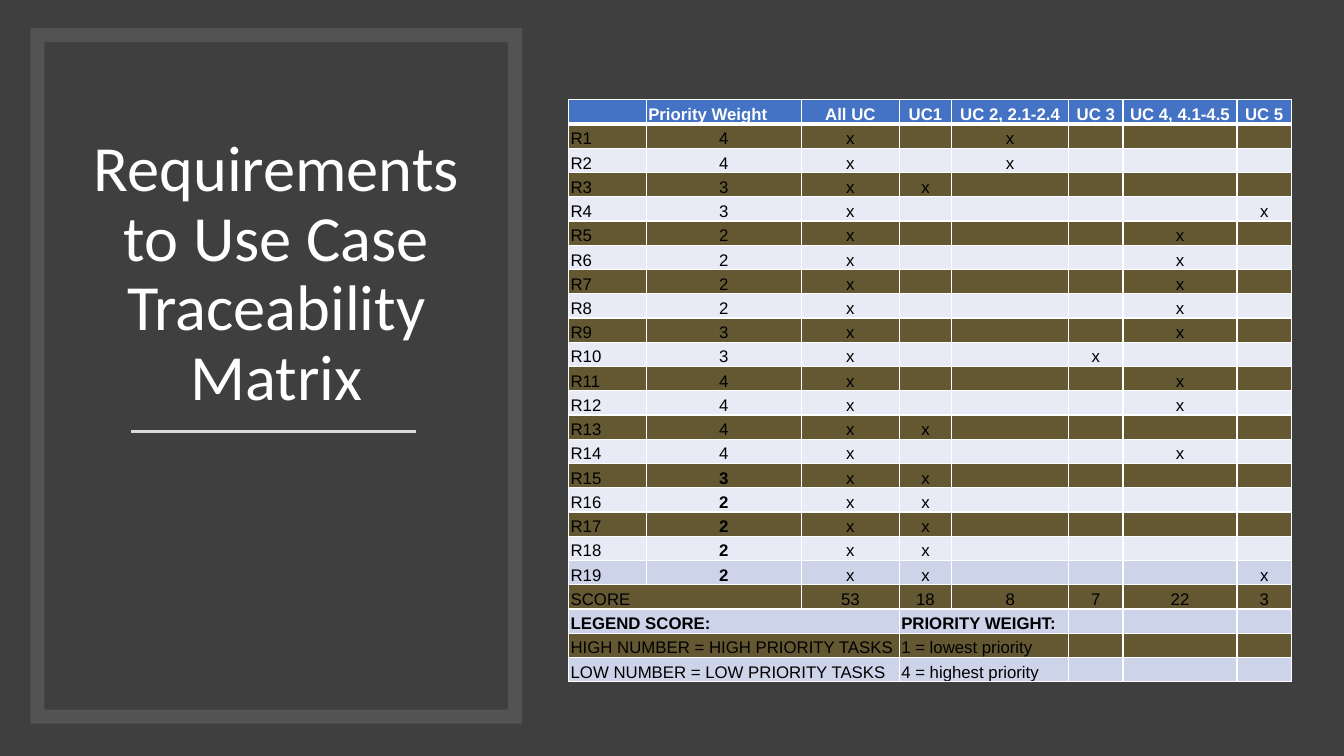
from lxml import etree
from pptx import Presentation
from pptx import util as u
from pptx.dml.color import RGBColor
from pptx.enum import shapes, text
from pptx.oxml import ns

BACKGROUND = "3F3F3F"
WHITE = "FFFFFF"
BLACK = "000000"
GOLD = "F9BD04"
HEADER_BLUE = "4472C4"
PALE_BLUE = "E8EBF5"
MID_BLUE = "CDD4EA"

HEADERS = ["", "Priority Weight", "All UC", "UC1", "UC 2, 2.1-2.4",
           "UC 3", "UC 4, 4.1-4.5", "UC 5"]
COLUMN_WIDTHS = [0.77, 1.54, 0.97, 0.52, 1.16, 0.54, 1.13, 0.54]
TABLE_HEIGHT = 5.78
ALL_UC, UC1, UC2, UC3, UC4, UC5 = range(2, 8)
REQUIREMENTS = [
    (4, [UC2]), (4, [UC2]), (3, [UC1]), (3, [UC5]), (2, [UC4]),
    (2, [UC4]), (2, [UC4]), (2, [UC4]), (3, [UC4]), (3, [UC3]),
    (4, [UC4]), (4, [UC4]), (4, [UC1]), (4, [UC4]), (3, [UC1]),
    (2, [UC1]), (2, [UC1]), (2, [UC1]), (2, [UC1, UC5]),
]
SCORES = ["SCORE", "", "53", "18", "8", "7", "22", "3"]
LEGEND = [
    ("LEGEND SCORE:", "PRIORITY WEIGHT:"),
    ("HIGH NUMBER = HIGH PRIORITY TASKS", "1 = lowest priority"),
    ("LOW NUMBER = LOW PRIORITY TASKS", "4 = highest priority"),
]
FIRST_BOLD_WEIGHT = 15
LAST_REQUIREMENT = len(REQUIREMENTS)
SCORE_ROW = LAST_REQUIREMENT + 1
LEGEND_ROW = SCORE_ROW + 1


def color(hex_value):
    return RGBColor.from_string(hex_value)


def apply_format(target, values):
    for name, value in values.items():
        setattr(target, name, value)


def paint(fill, hex_value, opacity=100):
    fill.solid()
    fill.fore_color.rgb = color(hex_value)
    if opacity < 100:
        solid = fill._xPr.find(ns.qn("a:solidFill"))
        etree.SubElement(solid[0], ns.qn("a:alpha"), val=str(opacity * 1000))


def add_frame(slide):
    frame = slide.shapes.add_shape(
        shapes.MSO_SHAPE.RECTANGLE, u.Inches(0.37), u.Inches(0.35),
        u.Inches(4.74), u.Inches(6.76))
    frame.shadow.inherit = False
    paint(frame.fill, "404040", 89)
    frame.line.width = u.Pt(10)
    paint(frame.line.fill, "595959", 80)
    outline = frame._element.spPr.find(ns.qn("a:ln"))
    etree.SubElement(outline, ns.qn("a:miter"), lim="800000")


def add_title(slide, wording):
    title = slide.shapes.title
    slide.shapes._spTree.append(title._element)
    apply_format(title, {"left": u.Inches(0.74), "top": u.Inches(1),
                         "width": u.Inches(4), "height": u.Inches(3.16)})
    paint(title.fill, BACKGROUND)
    apply_format(title.text_frame, {
        "text": wording, "word_wrap": True,
        "auto_size": text.MSO_AUTO_SIZE.NONE,
        "vertical_anchor": text.MSO_ANCHOR.BOTTOM,
        "margin_left": u.Inches(0.1), "margin_right": u.Inches(0.1),
        "margin_top": u.Inches(0.05), "margin_bottom": u.Inches(0.05)})
    paragraph = title.text_frame.paragraphs[0]
    apply_format(paragraph, {"alignment": text.PP_ALIGN.CENTER,
                             "line_spacing": 0.9})
    font = paragraph.runs[0].font
    apply_format(font, {"name": "Calibri", "size": u.Pt(46)})
    font.color.rgb = color(WHITE)


def add_rule(slide):
    rule = slide.shapes.add_connector(
        shapes.MSO_CONNECTOR.STRAIGHT, u.Inches(1.3), u.Inches(4.28),
        u.Inches(4.13), u.Inches(4.28))
    rule.line.width = u.Pt(1.75)
    rule.line.color.rgb = color("D9D9D9")
    etree.SubElement(rule._element.spPr, ns.qn("a:effectLst"))


def set_borders(cell, widths):
    properties = cell._tc.get_or_add_tcPr()
    for side, width in widths.items():
        border = etree.SubElement(properties, ns.qn("a:ln" + side),
                                  w=str(u.Pt(width)))
        solid = etree.SubElement(border, ns.qn("a:solidFill"))
        etree.SubElement(solid, ns.qn("a:srgbClr"), val=WHITE)


def row_fill(row):
    if row == 0:
        return HEADER_BLUE, 100
    if row < LAST_REQUIREMENT:
        return (GOLD, 20) if row % 2 else (PALE_BLUE, 100)
    return (MID_BLUE, 100) if row % 2 else (GOLD, 20)


def is_bold(row, column):
    return (row in (0, LEGEND_ROW)
            or (column == 1 and FIRST_BOLD_WEIGHT <= row < SCORE_ROW))


def is_left_aligned(row, column):
    return column == 0 or row >= LEGEND_ROW or (row, column) == (0, 1)


def format_cell(cell, wording, row, column):
    set_borders(cell, {"L": 1, "R": 1, "T": 3 if row == 1 else 1,
                       "B": 3 if row == 0 else 1})
    paint(cell.fill, *row_fill(row))
    apply_format(cell, {
        "vertical_anchor": text.MSO_ANCHOR.BOTTOM,
        "margin_left": u.Inches(0.02), "margin_right": u.Inches(0.02),
        "margin_top": 0, "margin_bottom": 0})
    paragraph = cell.text_frame.paragraphs[0]
    if not wording:
        etree.SubElement(paragraph._p, ns.qn("a:endParaRPr"), sz="1200")
        return
    paragraph.alignment = (text.PP_ALIGN.LEFT if is_left_aligned(row, column)
                           else text.PP_ALIGN.CENTER)
    run = paragraph.add_run()
    run.text = wording
    apply_format(run.font, {"name": "Arial", "size": u.Pt(12),
                            "bold": is_bold(row, column)})
    run.font.color.rgb = color(BLACK if row else WHITE)


def matrix_rows():
    rows = [HEADERS]
    for number, (weight, use_cases) in enumerate(REQUIREMENTS, 1):
        marks = ["x" if column in [ALL_UC] + use_cases else ""
                 for column in range(ALL_UC, UC5 + 1)]
        rows.append([f"R{number}", str(weight)] + marks)
    rows.append(SCORES)
    for score, weight in LEGEND:
        rows.append([score, "", "", weight, "", "", "", ""])
    return rows


def add_matrix(slide):
    rows = matrix_rows()
    matrix = slide.shapes.add_table(
        len(rows), len(HEADERS), u.Inches(5.64), u.Inches(0.99),
        u.Inches(sum(COLUMN_WIDTHS)), u.Inches(TABLE_HEIGHT)).table
    apply_format(matrix, {"first_row": False, "horz_banding": False})
    for column, width in zip(matrix.columns, COLUMN_WIDTHS):
        column.width = u.Inches(width)
    for row in matrix.rows:
        row.height = u.Inches(TABLE_HEIGHT / len(rows))
    matrix.cell(SCORE_ROW, 0).merge(matrix.cell(SCORE_ROW, 1))
    for row in range(LEGEND_ROW, len(rows)):
        matrix.cell(row, 0).merge(matrix.cell(row, 2))
        matrix.cell(row, 3).merge(matrix.cell(row, 4))
    for row, wordings in enumerate(rows):
        for column, wording in enumerate(wordings):
            format_cell(matrix.cell(row, column), wording, row, column)


def main():
    deck = Presentation()
    apply_format(deck, {"slide_width": u.Inches(13.33),
                        "slide_height": u.Inches(7.5)})
    slide = deck.slides.add_slide(deck.slide_layouts[5])
    paint(slide.background.fill, BACKGROUND)
    add_frame(slide)
    add_title(slide, "Requirements to Use Case Traceability Matrix")
    add_rule(slide)
    add_matrix(slide)
    deck.save("out.pptx")


if __name__ == "__main__":
    main()
